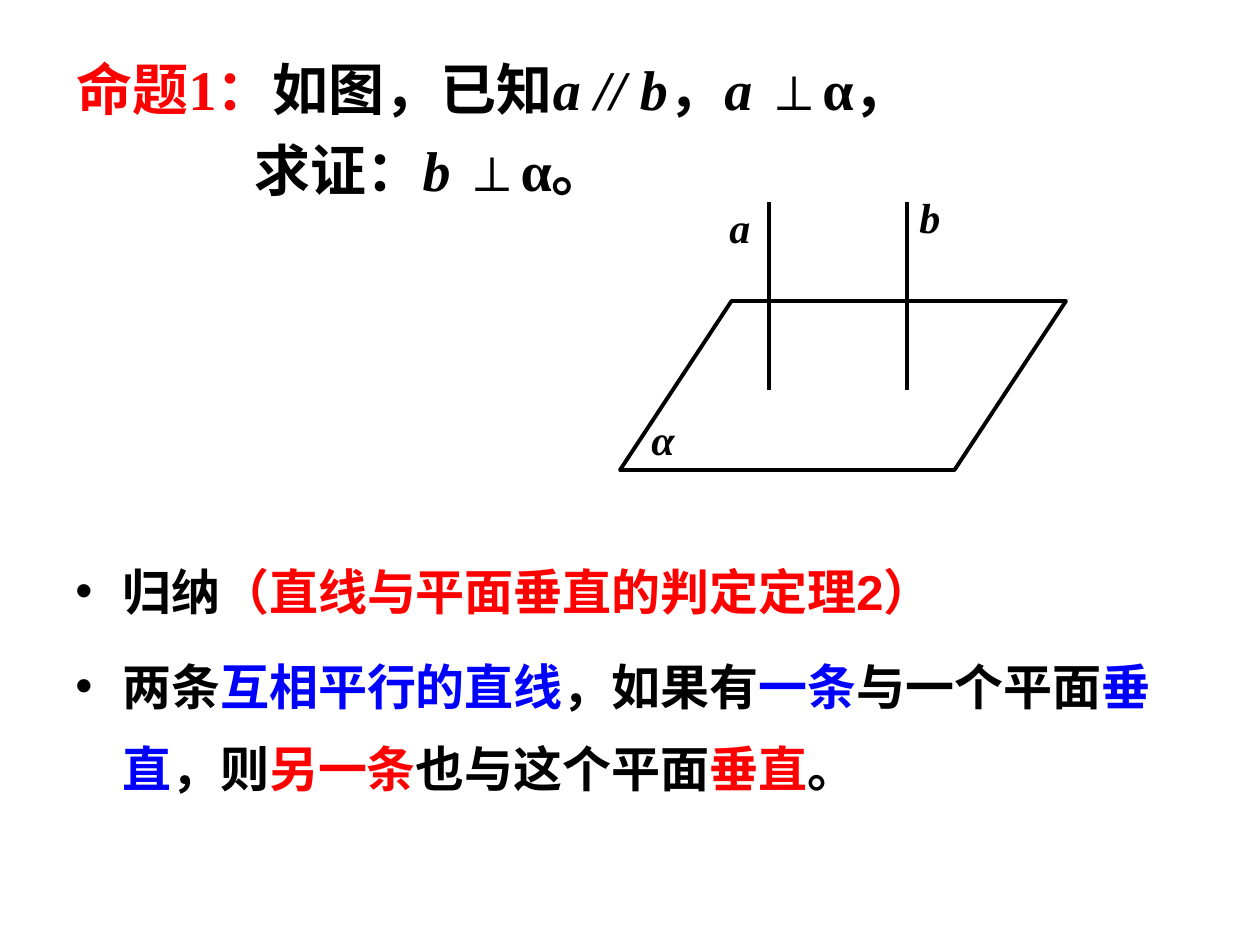
from lxml.etree import SubElement
from pptx import Presentation
from pptx.dml.color import RGBColor
from pptx.enum.shapes import MSO_CONNECTOR, MSO_SHAPE
from pptx.enum.text import MSO_ANCHOR, MSO_AUTO_SIZE
from pptx.oxml.ns import qn
from pptx.util import Pt

EMU_PER_PX = 914400 / 126
BLACK = RGBColor(0, 0, 0)
RED = RGBColor(255, 0, 0)
BLUE = RGBColor(0, 0, 255)
SERIF = "Times New Roman"
SANS = "Arial"


def px(length):
    return round(length * EMU_PER_PX)


class SlideBuilder:
    line_width = Pt(2.25)

    def __init__(self, slide):
        self.slide = slide

    def text_box(self, left, top, width, height, wrap=True, anchor=MSO_ANCHOR.TOP):
        """Add an empty text box and return its text frame."""
        shape = self.slide.shapes.add_textbox(px(left), px(top), px(width), px(height))
        frame = shape.text_frame
        frame.word_wrap = wrap
        frame.auto_size = MSO_AUTO_SIZE.NONE if wrap else MSO_AUTO_SIZE.SHAPE_TO_FIT_TEXT
        frame.vertical_anchor = anchor
        return frame

    def paragraph(self, frame, runs, font, size, spacing=None, indent=0, bullet=False, before=0):
        """Fill the first empty paragraph or add one; runs are (text, colour, italic)."""
        is_first = not frame.paragraphs[0].runs
        paragraph = frame.paragraphs[0] if is_first else frame.add_paragraph()
        properties = paragraph._p.get_or_add_pPr()
        if indent:
            properties.set("marL", str(px(indent)))
        if bullet:
            properties.set("indent", str(-px(indent)))
            colour = SubElement(properties, qn("a:buClr"))
            SubElement(colour, qn("a:srgbClr"), val=str(BLACK))
            SubElement(properties, qn("a:buFont"), typeface=SANS)
            SubElement(properties, qn("a:buChar"), char="•")
        if spacing:
            paragraph.line_spacing = spacing
        if before and not is_first:
            paragraph.space_before = Pt(before)
        for text, colour, italic in runs:
            run = paragraph.add_run()
            run.text = text
            run.font.name = font
            run.font.size = Pt(size)
            run.font.bold = True
            run.font.italic = italic
            run.font.color.rgb = colour

    def label(self, text, left, top):
        frame = self.text_box(left, top, 46, 63, wrap=False)
        self.paragraph(frame, [(text, BLACK, True)], SERIF, 24)

    def plane(self, left, top, width, height, slant):
        shape = self.slide.shapes.add_shape(
            MSO_SHAPE.PARALLELOGRAM, px(left), px(top), px(width), px(height))
        shape.adjustments[0] = slant
        shape.shadow.inherit = False
        shape.fill.background()
        shape.line.color.rgb = BLACK
        shape.line.width = self.line_width

    def vertical_line(self, x, top, bottom):
        line = self.slide.shapes.add_connector(
            MSO_CONNECTOR.STRAIGHT, px(x), px(top), px(x), px(bottom))
        line.line.color.rgb = BLACK
        line.line.width = self.line_width
        SubElement(line._element.spPr, qn("a:effectLst"))


def main():
    presentation = Presentation()
    presentation.slide_width = px(1260)
    presentation.slide_height = px(945)
    builder = SlideBuilder(presentation.slides.add_slide(presentation.slide_layouts[6]))

    theorem = builder.text_box(63, 532, 1102, 318)
    theorem_paragraphs = [
        [("归纳", BLACK), ("（直线与平面垂直的判定定理2）", RED)],
        [("两条", BLACK), ("互相平行的直线", BLUE), ("，如果有", BLACK),
         ("一条", BLUE), ("与一个平面", BLACK), ("垂直", BLUE), ("，则", BLACK),
         ("另一条", RED), ("也与这个平面", BLACK), ("垂直", RED), ("。", BLACK)],
    ]
    for parts in theorem_paragraphs:
        runs = [(text, colour, False) for text, colour in parts]
        builder.paragraph(theorem, runs, SANS, 28, spacing=1.4, indent=47,
                          bullet=True, before=7)

    builder.plane(620, 301, 446, 169, slant=0.66)
    for x in (769, 907):
        builder.vertical_line(x, 202, 390)
    for text, left, top in (("a", 717, 195), ("b", 907, 185), ("α", 639, 407)):
        builder.label(text, left, top)

    proposition = builder.text_box(64, 35, 1121, 174, anchor=MSO_ANCHOR.MIDDLE)
    given = [("命题1：", RED, False), ("如图，已知", BLACK, False), ("a // b", BLACK, True),
             ("，", BLACK, False), ("a", BLACK, True), (" ⊥α，", BLACK, False)]
    to_prove = [("求证：", BLACK, False), ("b", BLACK, True), (" ⊥α。", BLACK, False)]
    builder.paragraph(proposition, given, SERIF, 32, spacing=1.2)
    builder.paragraph(proposition, to_prove, SERIF, 32, spacing=1.2, indent=178)

    presentation.save("out.pptx")


if __name__ == "__main__":
    main()
